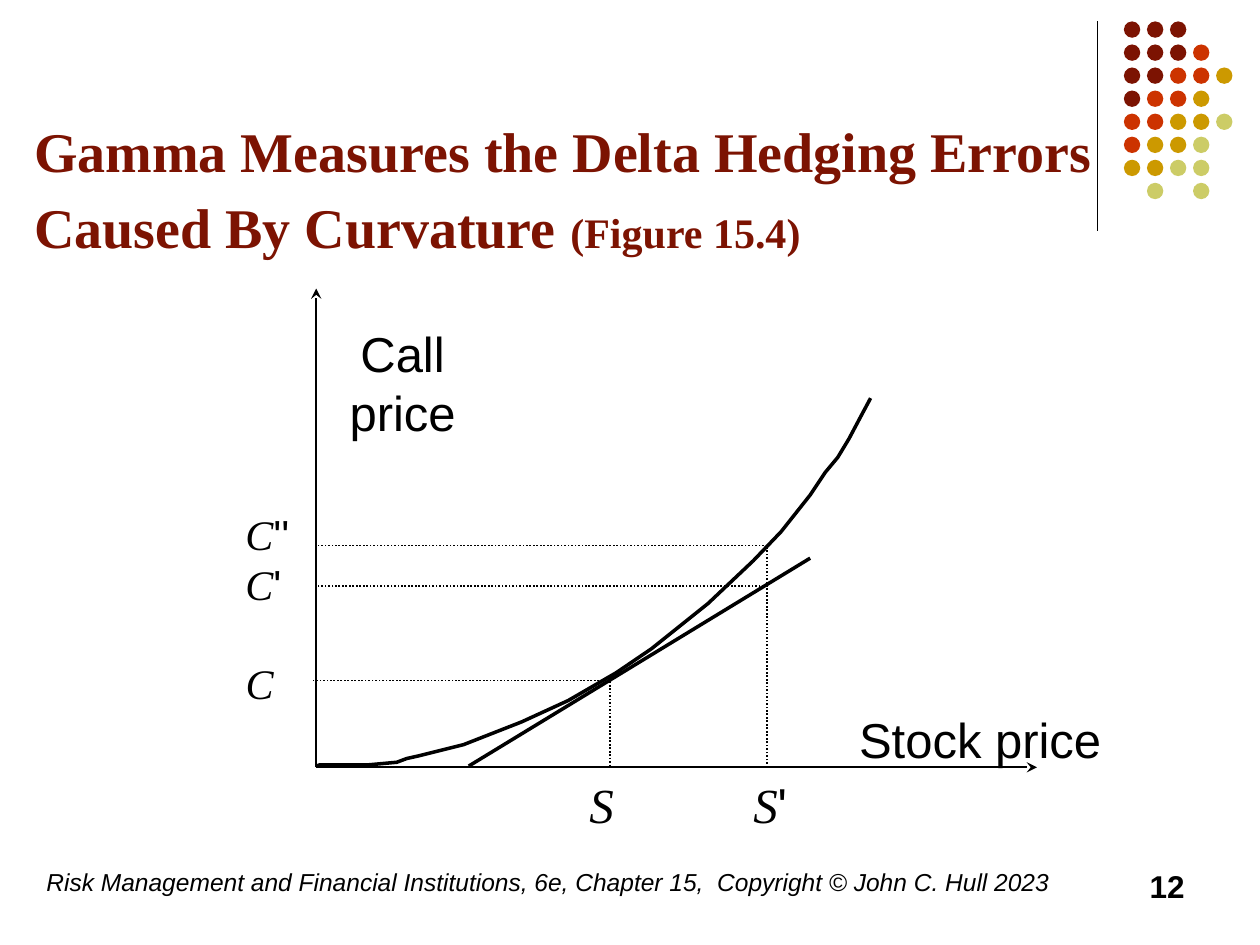
from dataclasses import dataclass

import pptx
import pptx.dml.color
import pptx.enum.dml
import pptx.enum.shapes
import pptx.enum.text
import pptx.oxml.ns
import pptx.util
from lxml import etree

Inches = pptx.util.Inches
Pt = pptx.util.Pt
ALIGN = pptx.enum.text.PP_ALIGN
SERIF, SANS = "Times New Roman", "Arial"
MAROON, BLACK = "7C1302", "000000"


@dataclass
class Run:
    text: str
    size: float
    font: str = SANS
    color: str = BLACK
    bold: bool = False
    italic: bool = False


@dataclass
class Label:
    box: tuple[float, float, float, float]
    paragraphs: list[list[Run]]
    align: ALIGN = ALIGN.LEFT


@dataclass
class Line:
    start: tuple[float, float]
    end: tuple[float, float]
    width: float = 1
    dotted: bool = False
    arrow: bool = False


def rgb(color: str) -> pptx.dml.color.RGBColor:
    return pptx.dml.color.RGBColor.from_string(color)


def place(sp, box: tuple[float, float, float, float]) -> None:
    sp.left, sp.top, sp.width, sp.height = map(Inches, box)


def add_runs(p, runs: list[Run]) -> None:
    for run in runs:
        r = p.add_run()
        r.text = run.text
        r.font.size, r.font.name = Pt(run.size), run.font
        r.font.bold, r.font.italic = run.bold, run.italic
        r.font.color.rgb = rgb(run.color)


def add_label(shapes, label: Label) -> None:
    tf = shapes.add_textbox(*map(Inches, label.box)).text_frame
    tf.word_wrap = True
    for i, runs in enumerate(label.paragraphs):
        p = tf.add_paragraph() if i else tf.paragraphs[0]
        p.alignment = label.align
        add_runs(p, runs)


def add_line(shapes, line: Line) -> None:
    sp = shapes.add_connector(
        pptx.enum.shapes.MSO_CONNECTOR.STRAIGHT, *map(Inches, line.start + line.end))
    sp.line.width = Pt(line.width)
    sp.line.color.rgb = rgb(BLACK)
    if line.dotted:
        sp.line.dash_style = pptx.enum.dml.MSO_LINE.ROUND_DOT
    if line.arrow:
        ln = sp.line._get_or_add_ln()
        etree.SubElement(ln, pptx.oxml.ns.qn("a:tailEnd"), type="stealth")
    etree.SubElement(sp._element.spPr, pptx.oxml.ns.qn("a:effectLst"))


def add_curve(shapes, points: list[tuple[float, float]]) -> None:
    start, *rest = [(Inches(x), Inches(y)) for x, y in points]
    builder = shapes.build_freeform(*start)
    builder.add_line_segments(rest, close=False)
    sp = builder.convert_to_shape()
    sp.shadow.inherit = False
    sp.fill.background()
    sp.line.width = Pt(2)
    sp.line.color.rgb = rgb(BLACK)


def add_dots(shapes, rows: list[str], colors: dict[str, str]) -> None:
    step, size = 0.183, 0.13
    group = shapes.add_group_shape()
    for row, cells in enumerate(rows):
        for col, key in enumerate(cells):
            if key == ".":
                continue
            sp = group.shapes.add_shape(
                pptx.enum.shapes.MSO_SHAPE.OVAL, Inches(8.92 + col * step),
                Inches(0.17 + row * step), Inches(size), Inches(size))
            sp.shadow.inherit = False
            sp.fill.solid()
            sp.fill.fore_color.rgb = rgb(colors[key])
            sp.line.fill.background()


def symbol(letter: str, size: float, primes: str = "") -> list[list[Run]]:
    runs = [Run(letter, size, SERIF, italic=True)]
    return [runs + [Run(primes, size)] if primes else runs]


# Axes origin, and the two stock prices with their call prices
X0, Y0 = 2.51, 6.09
S, S_NEW = 4.84, 6.09
C, C_TANGENT, C_NEW = 5.4, 4.65, 4.33

DOT_COLORS = {"m": MAROON, "r": "CC3300", "g": "CC9900", "y": "CCCC66"}
DOT_ROWS = ["mmm", "mmmr", "mmrrg", "mrrg", "rrggy", "rggy", "ggyy", ".y.y"]

LINES = [
    Line((X0, Y0), (X0, 2.29), arrow=True),
    Line((X0, Y0), (8.23, Y0), arrow=True),
    Line((S, 5.38), (S, Y0), dotted=True),
    Line((4.81, C), (2.48, C), dotted=True),
    Line((S_NEW, Y0), (S_NEW, 4.34), dotted=True),
    Line((S_NEW, C_TANGENT), (X0, C_TANGENT), dotted=True),
    Line((S_NEW, C_NEW), (X0, C_NEW), dotted=True),
]

CALL_CURVE = [
    (2.51, 6.08), (2.54, 6.07), (2.93, 6.07), (3.15, 6.05), (3.23, 6.02),
    (3.32, 6), (3.68, 5.91), (4.14, 5.73), (4.51, 5.56), (4.89, 5.34),
    (5.17, 5.15), (5.62, 4.79), (5.98, 4.45), (6.2, 4.22), (6.43, 3.93),
    (6.55, 3.75), (6.65, 3.63), (6.74, 3.48), (6.83, 3.31), (6.91, 3.16),
]
TANGENT = [(3.72, 6.08), (6.43, 4.43)]

FOOTER = ("Risk Management and Financial Institutions, 6e, Chapter 15,  "
          "Copyright © John C. Hull 2023")
LABELS = [
    Label((0.27, 6.83, 8.27, 0.5), [[Run(FOOTER, 14, italic=True)]]),
    Label((7.17, 6.83, 2.33, 0.5), [[Run("12", 18, bold=True)]], ALIGN.RIGHT),
    Label((4.58, 6.1, 0.42, 0.57), symbol("S", 28)),
    Label((5.88, 6.1, 0.55, 0.57), symbol("S", 28, "'")),
    Label((1.85, 5.17, 0.79, 0.5), symbol("C", 24)),
    Label((1.85, 4.38, 0.97, 0.5), symbol("C", 24, "'")),
    Label((1.85, 3.99, 0.67, 0.5), symbol("C", 24, "''")),
    Label((6.72, 5.58, 2.21, 0.57), [[Run("Stock price", 28)]]),
    Label((2.65, 2.52, 1.09, 1.03), [[Run("Call", 28)], [Run("price", 28)]],
          ALIGN.CENTER),
]


def main() -> None:
    prs = pptx.Presentation()
    prs.slide_width, prs.slide_height = Inches(10), Inches(7.5)
    s = prs.slides.add_slide(prs.slide_layouts[5])

    # Corner decoration
    add_line(s.shapes, Line((8.71, 0.17), (8.71, 1.83), 0.75))
    add_dots(s.shapes, DOT_ROWS, DOT_COLORS)

    # Title
    title = s.shapes.title
    place(title, (0.17, 0.94, 8.67, 1.17))
    tf = title.text_frame
    tf.auto_size = pptx.enum.text.MSO_AUTO_SIZE.NONE
    tf.vertical_anchor = pptx.enum.text.MSO_ANCHOR.BOTTOM
    p = tf.paragraphs[0]
    p.alignment = ALIGN.LEFT
    p.line_spacing = 1.13
    add_runs(p, [
        Run("Gamma Measures the Delta Hedging Errors Caused By Curvature ",
            32, SERIF, MAROON, bold=True),
        Run("(Figure 15.4)", 24, SERIF, MAROON, bold=True),
    ])

    # Diagram and its labels
    for line in LINES:
        add_line(s.shapes, line)
    for points in (CALL_CURVE, TANGENT):
        add_curve(s.shapes, points)
    for label in LABELS:
        add_label(s.shapes, label)

    prs.save("out.pptx")


if __name__ == "__main__":
    main()
